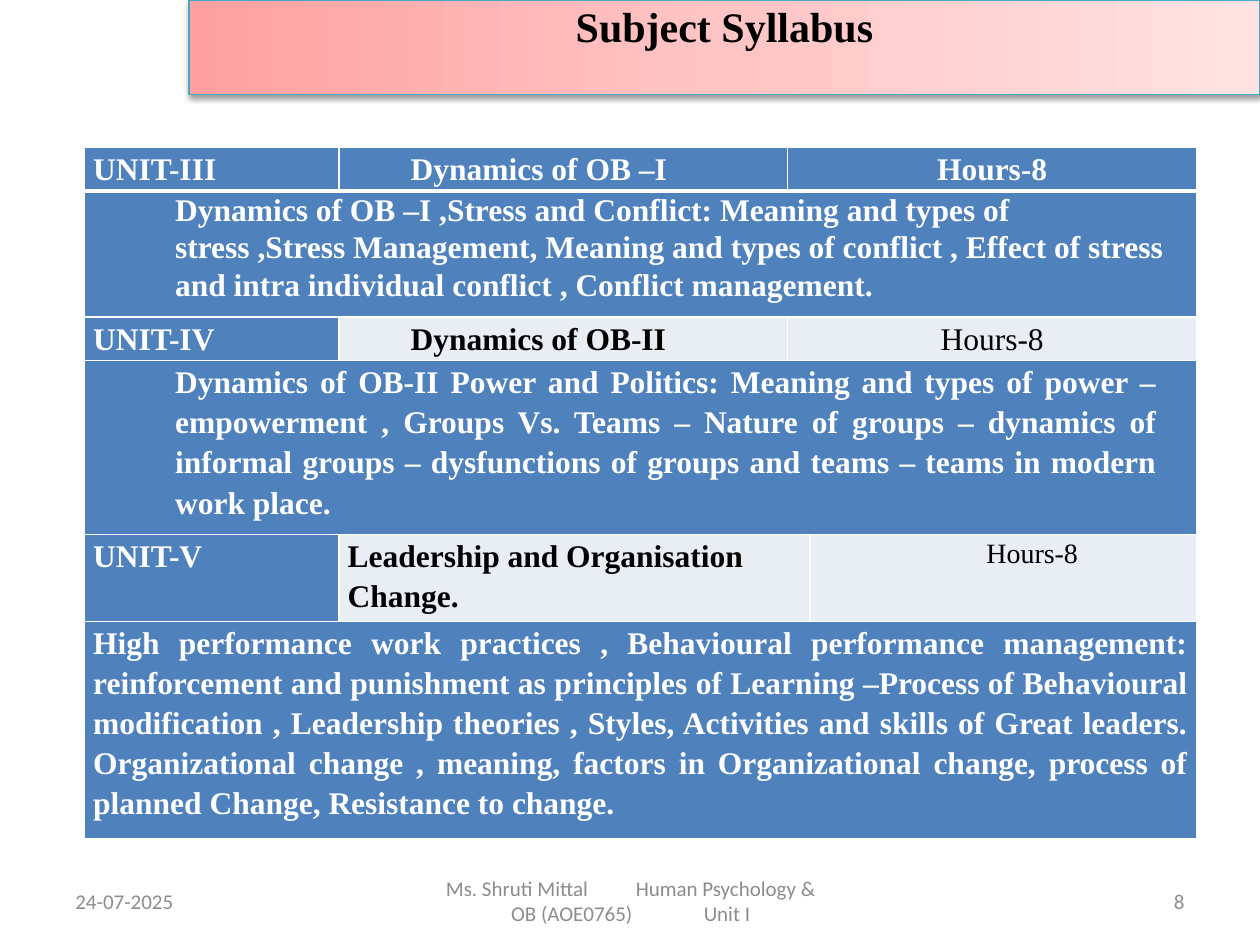
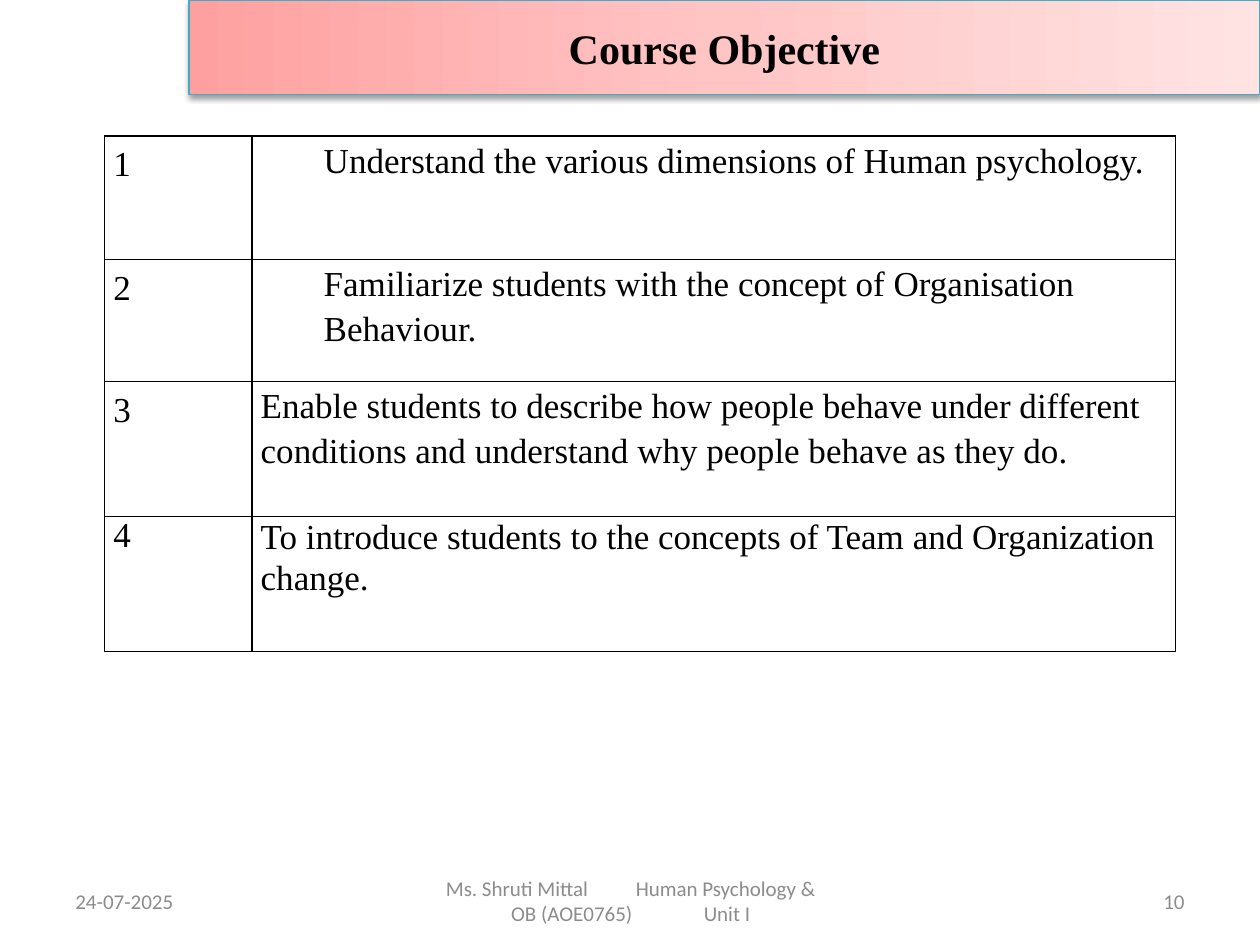
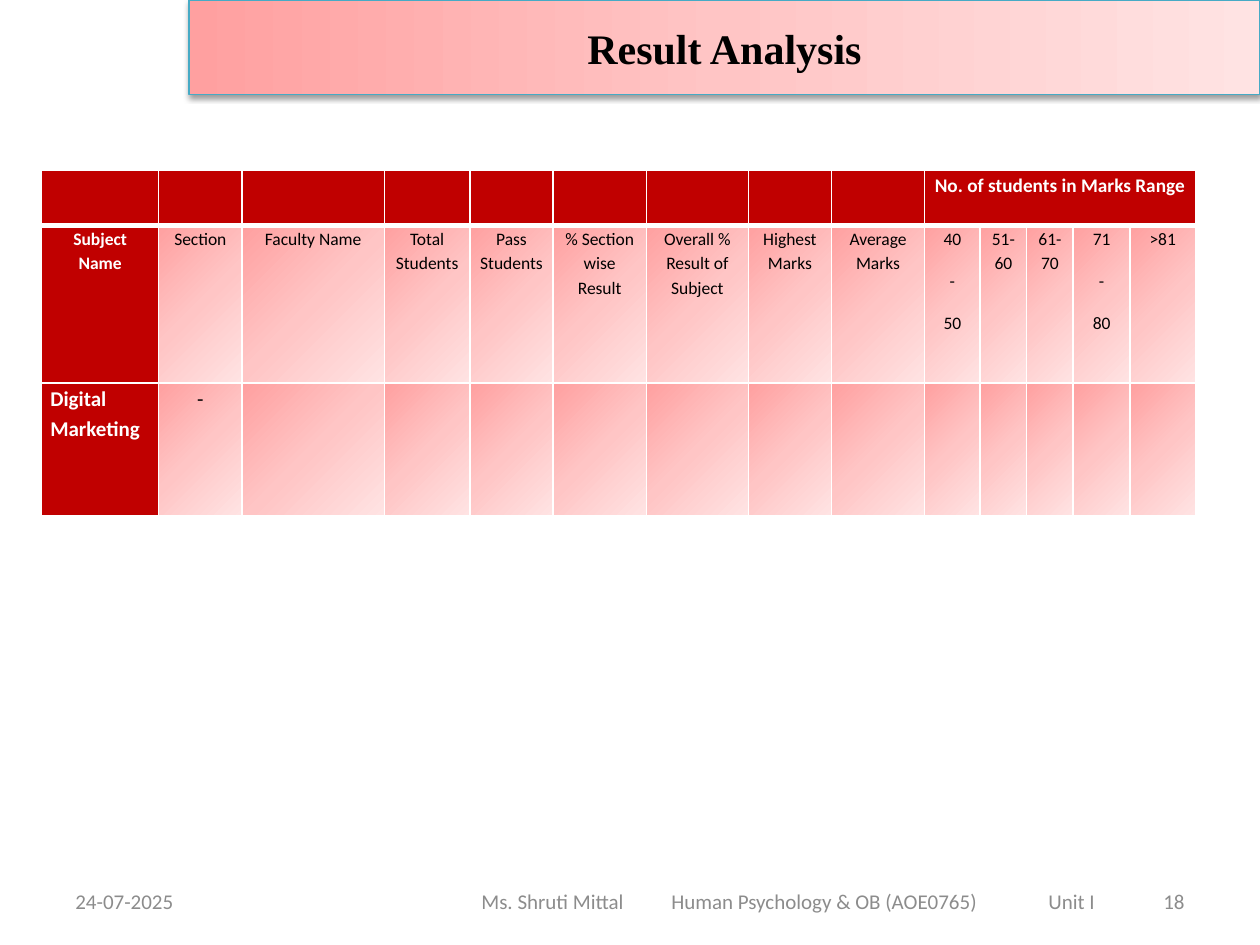
import copy

import pptx
import pptx.dml.color
import pptx.enum.shapes
import pptx.enum.text
import pptx.oxml
import pptx.util

Inches, Pt = pptx.util.Inches, pptx.util.Pt
ALIGN = pptx.enum.text.PP_ALIGN
ANCHOR = pptx.enum.text.MSO_ANCHOR
DRAWING_NS = 'xmlns:a="http://schemas.openxmlformats.org/drawingml/2006/main"'

BLACK, WHITE, GREY = "000000", "FFFFFF", "8C8C8C"
BLUE, PALE, RED = "4F81BD", "E9EDF4", "C00000"
BLUSH = ["FFA0A0", "FFC5C5", "FFE3E3"]
SERIF, SANS = "Times New Roman", "Calibri"
FOOTER = "Ms. Shruti Mittal|Human Psychology & OB (AOE0765)|Unit I"


def paint(fill, color, angle=0):
    """Fill with one hex colour, a list of three as a gradient, or nothing."""
    if color is None:
        fill.background()
    elif isinstance(color, str):
        fill.solid()
        fill.fore_color.rgb = pptx.dml.color.RGBColor.from_string(color)
    else:
        fill.gradient()
        fill.gradient_angle = -angle % 360
        first = fill.gradient_stops[0]._gs
        first.addnext(copy.deepcopy(first))
        for i, stop in enumerate(fill.gradient_stops):
            stop.position = i / 2
            stop.color.rgb = pptx.dml.color.RGBColor.from_string(color[i])


def write(frame, text, font=SERIF, size=18, color=BLACK, bold=False, align=ALIGN.LEFT,
          anchor=ANCHOR.TOP, line=None, after=0, indent=0, right=0, gaps=()):
    """Write one paragraph per line; each "|" becomes a space widened by the next gap."""
    frame.word_wrap = True
    frame.vertical_anchor = anchor
    for i, content in enumerate(text.split("\n")):
        paragraph = frame.add_paragraph() if i else frame.paragraphs[0]
        paragraph.alignment = align
        paragraph.line_spacing = line
        paragraph.space_after = Pt(after)
        margins = paragraph._p.get_or_add_pPr()
        margins.set("marL", str(Inches(indent)))
        margins.set("marR", str(Inches(right)))
        pieces = [(content, 0)]
        if gaps:
            words = content.split("|")
            pieces = [(words[0], 0)]
            for gap, word in zip(gaps, words[1:]):
                pieces += [(" ", gap), (word, 0)]
        for piece, spacing in pieces:
            run = paragraph.add_run()
            run.text = piece
            run.font.name, run.font.size, run.font.bold = font, Pt(size), bold
            paint(run.font.fill, color)
            if spacing:
                run._r.get_or_add_rPr().set("spc", str(round(spacing * 100)))


# Each table cell: column, columns spanned, fill, text, text format
body = dict(line=1.15, after=10)
unit = dict(body, color=WHITE, bold=True)
justified = dict(unit, align=ALIGN.JUSTIFY)
centred = dict(body, align=ALIGN.CENTER)

syllabus = [
    [(0, 1, BLUE, "UNIT-III", unit),
     (1, 1, BLUE, "Dynamics of OB –I", dict(justified, indent=0.5)),
     (2, 2, BLUE, "Hours-8", dict(centred, color=WHITE, bold=True))],
    [(0, 4, BLUE, "Dynamics of OB –I ,Stress and Conflict: Meaning and types of stress ,Stress "
      "Management, Meaning and types of conflict , Effect of stress and intra individual "
      "conflict , Conflict management.", dict(unit, line=1.07, after=0, indent=0.65))],
    [(0, 1, BLUE, "UNIT-IV", unit),
     (1, 1, PALE, "Dynamics of OB-II", dict(justified, color=BLACK, indent=0.5)),
     (2, 2, PALE, "Hours-8", centred)],
    [(0, 4, BLUE, "Dynamics of OB-II Power and Politics: Meaning and types of power – "
      "empowerment , Groups Vs. Teams – Nature of groups – dynamics of informal groups – "
      "dysfunctions of groups and teams – teams in modern work place.",
      dict(justified, after=0, indent=0.65, right=0.25))],
    [(0, 1, BLUE, "UNIT-V", unit),
     (1, 2, PALE, "Leadership and Organisation Change.", dict(unit, color=BLACK)),
     (3, 1, PALE, "Hours-8", dict(body, size=16, indent=1.33))],
    [(0, 4, BLUE, "High performance work practices , Behavioural performance management: "
      "reinforcement and punishment as principles of Learning –Process of Behavioural "
      "modification , Leadership theories , Styles, Activities and skills of Great leaders. "
      "Organizational change , meaning, factors in Organizational change, process of planned "
      "Change, Resistance to change.", justified)],
]

goals = [
    ("Understand the various dimensions of Human psychology.", dict(body, indent=0.5)),
    ("Familiarize students with the concept of Organisation Behaviour.", dict(body, indent=0.5)),
    ("Enable students to describe how people behave under different conditions and "
     "understand why people behave as they do.", body),
    ("To introduce students to the concepts of Team and Organization change.", dict(line=1.05)),
]
objectives = []
for number, (goal, style) in enumerate(goals, 1):
    number_style = dict(size=20, line=Pt(13.8) if number < 4 else None)
    objectives.append([(0, 1, None, str(number), number_style),
                       (1, 1, None, goal, dict(style, size=20))])

small = dict(centred, font=SANS, size=10)
strong = dict(small, color=WHITE, bold=True)
headings = ["Section", "Faculty Name", "Total Students", "Pass Students",
            "% Section wise Result", "Overall % Result of Subject", "Highest Marks",
            "Average Marks", "40\n-\n50", "51-60", "61-70", "71\n-\n80", ">81"]
results = [
    [(c, 1, RED, "", {}) for c in range(9)]
    + [(9, 5, RED, "No. of students in Marks Range", dict(strong, size=11))],
    [(0, 1, RED, "Subject Name", strong)]
    + [(c, 1, BLUSH, heading, small) for c, heading in enumerate(headings, 1)],
    [(0, 1, RED, "Digital Marketing", dict(strong, size=12, align=ALIGN.LEFT)),
     (1, 1, BLUSH, "-", dict(small, size=12))]
    + [(c, 1, BLUSH, "", {}) for c in range(2, 14)],
]

pages = [
    dict(title="Subject Syllabus", number="8", title_anchor=ANCHOR.TOP, footer_width=3.17,
         left=0.67, top=1.17, border=WHITE, header_rule=3, cells=syllabus,
         widths=[2.02, 3.56, 0.18, 3.07], heights=[0.33, 1, 0.33, 1.34, 0.66, 1.66]),
    dict(title="Course Objective", number="10", title_anchor=ANCHOR.MIDDLE, footer_width=3.17,
         left=0.83, top=1.08, border=BLACK, header_rule=1, cells=objectives,
         widths=[1.17, 7.33], heights=[0.98, 0.97, 1.07, 1.07]),
    dict(title="Result Analysis", number="18", title_anchor=ANCHOR.MIDDLE, footer_width=5.67,
         left=0.33, top=1.35, border=WHITE, header_rule=3, cells=results,
         widths=[0.93, 0.66, 1.13, 0.68, 0.66, 0.74, 0.81, 0.66, 0.74,
                 0.44, 0.37, 0.37, 0.45, 0.52],
         heights=[0.44, 1.25, 1.05]),
]

deck = pptx.Presentation()
deck.slide_width, deck.slide_height = Inches(10), Inches(7.5)

for page in pages:
    slide = deck.slides.add_slide(deck.slide_layouts[6])

    footers = [(0.5, 2.33, "24-07-2025", ALIGN.LEFT, ()),
               (3.42, page["footer_width"], FOOTER, ALIGN.CENTER, (24.4, 38)),
               (7.17, 2.33, page["number"], ALIGN.RIGHT, ())]
    for left, width, text, align, gaps in footers:
        footer = slide.shapes.add_textbox(Inches(left), Inches(6.95), Inches(width), Inches(0.4))
        write(footer.text_frame, text, font=SANS, size=12, color=GREY, align=align,
              anchor=ANCHOR.MIDDLE, gaps=gaps)

    banner = slide.shapes.add_shape(pptx.enum.shapes.MSO_SHAPE.RECTANGLE,
                                    Inches(1.5), 0, Inches(8.5), Inches(0.75))
    paint(banner.fill, BLUSH)
    paint(banner.line.fill, "46AAC5")
    banner.line.width = Pt(0.75)
    banner.shadow.inherit = False
    banner._element.spPr.find(pptx.oxml.ns.qn("a:effectLst")).append(pptx.oxml.parse_xml(
        f'<a:outerShdw {DRAWING_NS} blurRad="40000" dist="20000" dir="5400000" rotWithShape="0">'
        f'<a:srgbClr val="{BLACK}"><a:alpha val="38000"/></a:srgbClr></a:outerShdw>'))
    banner.text_frame.margin_top = banner.text_frame.margin_bottom = 0
    write(banner.text_frame, page["title"], size=24, bold=True, align=ALIGN.CENTER,
          anchor=page["title_anchor"])

    widths, heights = page["widths"], page["heights"]
    table = slide.shapes.add_table(
        len(heights), len(widths), Inches(page["left"]), Inches(page["top"]),
        Inches(sum(widths)), Inches(sum(heights))).table
    table.first_row = table.horz_banding = False
    for column, width in zip(table.columns, widths):
        column.width = Inches(width)
    for row, height in zip(table.rows, heights):
        row.height = Inches(height)

    for r in range(len(heights)):
        for c in range(len(widths)):
            cell = table.cell(r, c)
            cell.margin_left = cell.margin_right = Inches(0.07)
            cell.margin_top = cell.margin_bottom = 0
            for side in "LRTB":
                weight = page["header_rule"] if (r, side) in [(0, "B"), (1, "T")] else 1
                cell._tc.get_or_add_tcPr().append(pptx.oxml.parse_xml(
                    f'<a:ln{side} {DRAWING_NS} w="{Pt(weight)}"><a:solidFill>'
                    f'<a:srgbClr val="{page["border"]}"/></a:solidFill></a:ln{side}>'))

    for r, row_cells in enumerate(page["cells"]):
        for c, span, fill, text, style in row_cells:
            cell = table.cell(r, c)
            if span > 1:
                cell.merge(table.cell(r, c + span - 1))
            paint(cell.fill, fill, angle=45)
            if text:
                write(cell.text_frame, text, **style)
            if style.get("line") == Pt(13.8):
                cell.margin_top = Pt(13.8)

deck.save("out.pptx")
